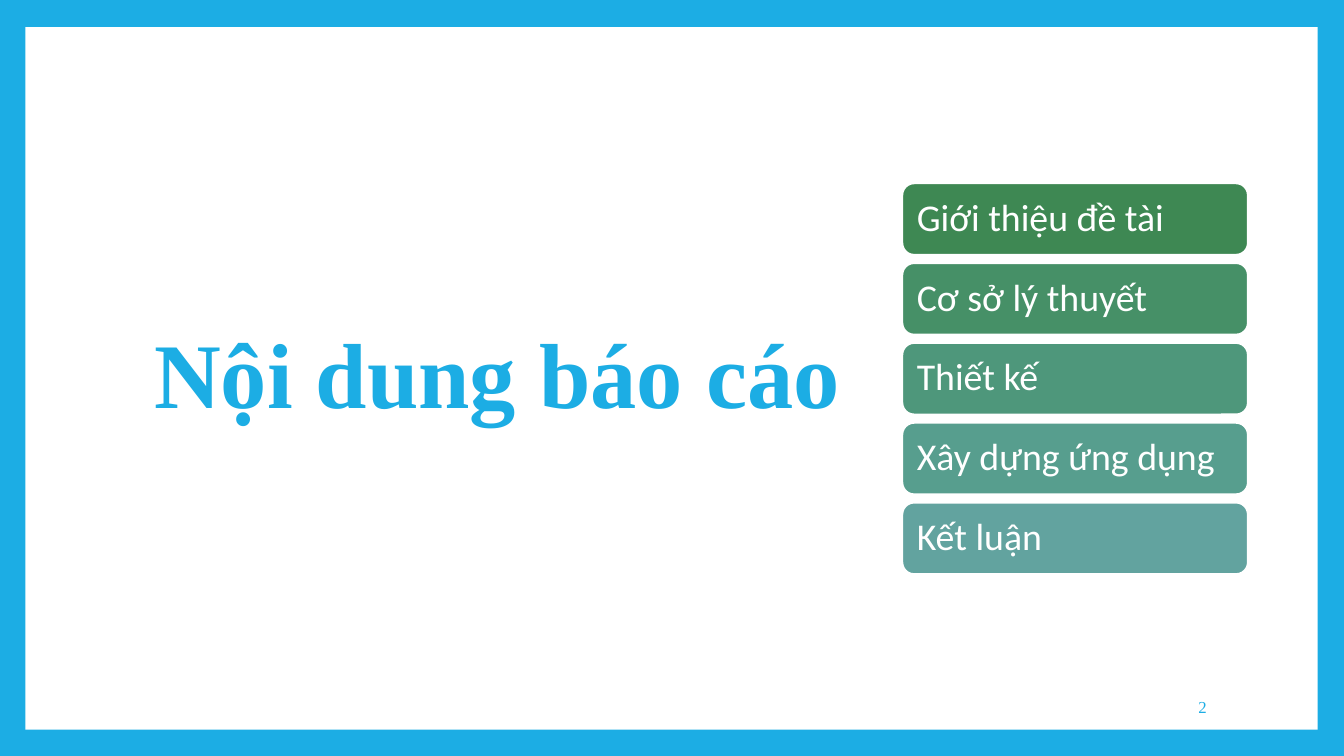
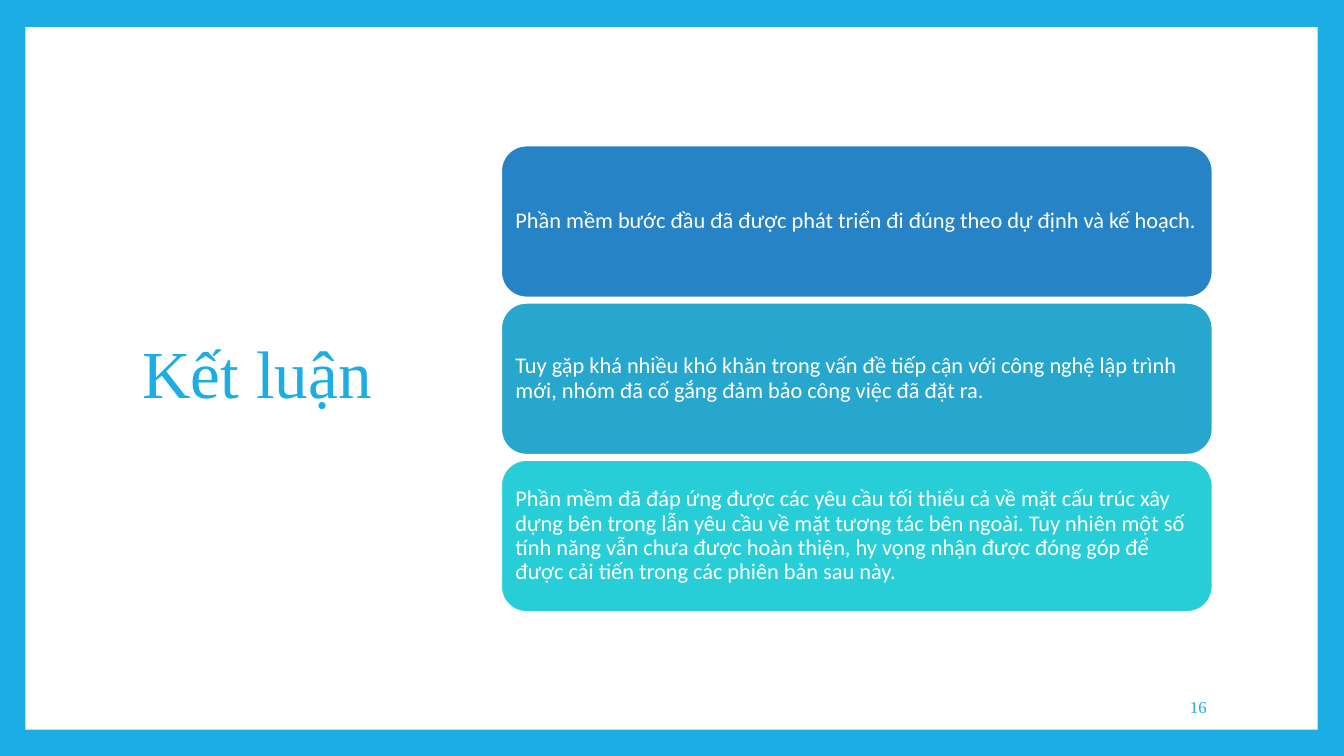
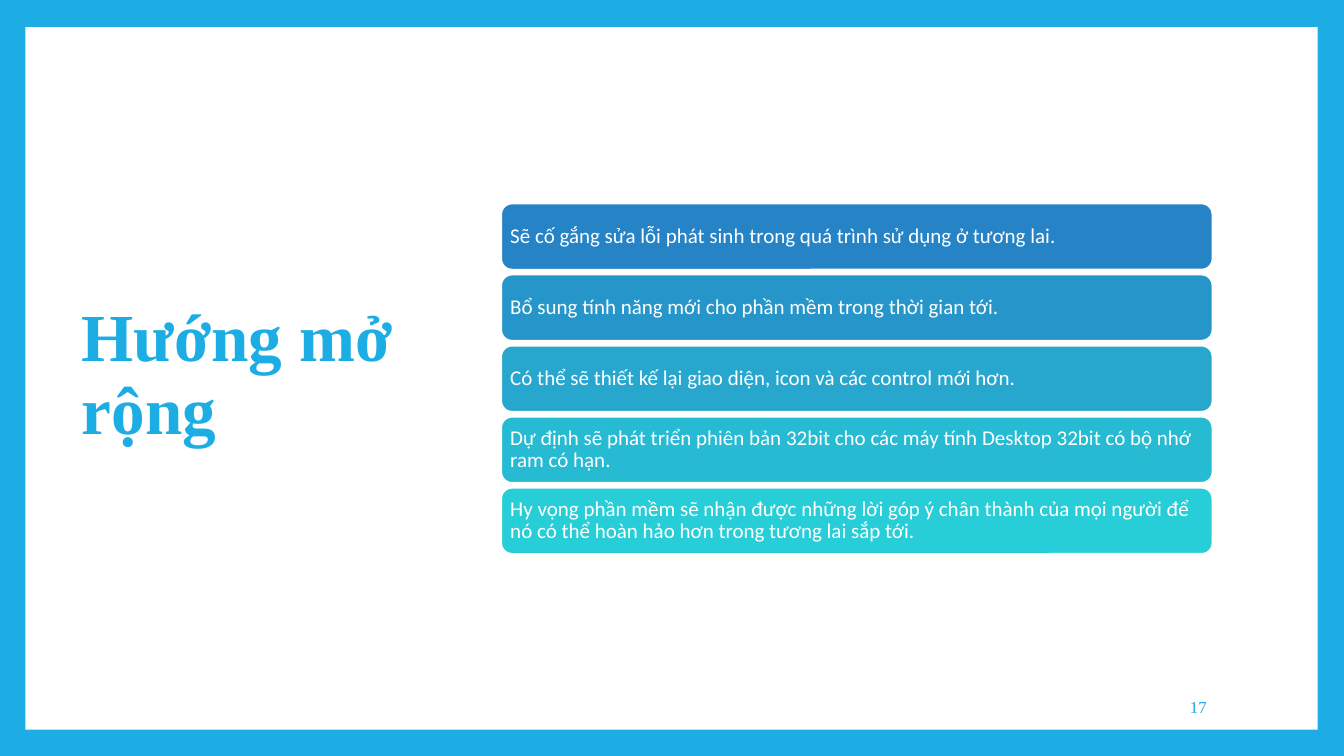
from dataclasses import dataclass

from pptx import Presentation
from pptx.dml.color import RGBColor
from pptx.enum.shapes import MSO_SHAPE
from pptx.enum.text import MSO_ANCHOR, MSO_AUTO_SIZE, PP_ALIGN
from pptx.util import Inches, Pt

RECT, ROUND_RECT = MSO_SHAPE.RECTANGLE, MSO_SHAPE.ROUNDED_RECTANGLE
LEFT, CENTER, RIGHT = PP_ALIGN.LEFT, PP_ALIGN.CENTER, PP_ALIGN.RIGHT
MIDDLE = MSO_ANCHOR.MIDDLE
NO_FIT = MSO_AUTO_SIZE.NONE
TITLE_ONLY = 5


@dataclass(frozen=True)
class Theme:
    accent: str = "1CADE4"
    paper: str = "FFFFFF"
    greens: tuple = ("3E8853", "469067", "4E977B", "579E8E", "62A39F")
    blues: tuple = ("2683C6", "2695CA", "27A7CE", "27BAD3", "27CED7")
    title_font: str = "Times New Roman"
    card_font: str = "Calibri"
    cover_size: int = 66
    title_size: int = 48
    number_size: int = 12
    agenda_size: int = 27
    point_size: int = 16
    plan_size: int = 15
    card_line: float = 1.5


class Deck:
    """Holds the theme and the current slide; lengths are percent of the slide."""

    # Boxes: left, top, width, height
    PANEL = (1.88, 3.6, 96.15, 92.93)
    NUMBER = (76.5, 90.8, 14.03, 5.33)
    SIDE_TITLE = (5.33, 8.93, 27.6, 81.73)
    # Columns of cards: left, width
    SIDE_COLUMN = (37.28, 52.95)
    CARD_CENTER = 50.1

    def __init__(self, theme):
        self.theme = theme
        self.prs = Presentation()
        self.prs.slide_width, self.prs.slide_height = Inches(13.33), Inches(7.5)
        self.fill(self.prs.slide_master.background, theme.accent)
        self.s = None

    def box(self, left, top, width, height):
        w, h = self.prs.slide_width, self.prs.slide_height
        return [round(share * side / 100) for share, side in
                ((left, w), (top, h), (width, w), (height, h))]

    def fill(self, target, color):
        target.fill.solid()
        target.fill.fore_color.rgb = RGBColor.from_string(color)

    def text(self, sp, words, font, size, color, align=LEFT, bold=False, spacing=0.9):
        tf = sp.text_frame
        tf.text = words
        tf.word_wrap = True
        tf.auto_size = NO_FIT
        tf.vertical_anchor = MIDDLE
        p = tf.paragraphs[0]
        p.alignment, p.line_spacing = align, spacing
        f = p.runs[0].font
        f.name, f.size, f.bold = font, Pt(size), bold
        f.color.rgb = RGBColor.from_string(color)

    def shape(self, kind, box, color):
        sp = self.s.shapes.add_shape(kind, *self.box(*box))
        sp.shadow.inherit = False
        self.fill(sp, color)
        return sp

    def slide(self, number):
        """New slide with the white panel behind everything and its number."""
        t = self.theme
        self.s = self.prs.slides.add_slide(self.prs.slide_layouts[TITLE_ONLY])
        panel = self.shape(RECT, self.PANEL, t.paper)
        panel.line.fill.background()
        self.s.shapes.title._element.addprevious(panel._element)
        sp = self.s.shapes.add_textbox(*self.box(*self.NUMBER))
        self.text(sp, str(number), t.title_font, t.number_size, t.accent, RIGHT, spacing=1.0)

    def title(self, words, size, align=LEFT, bold=False, box=SIDE_TITLE):
        sp = self.s.shapes.title
        sp.left, sp.top, sp.width, sp.height = self.box(*box)
        self.text(sp, words, self.theme.title_font, size, self.theme.accent, align, bold)

    def cards(self, texts, colors, size, height, gap, inset, column=SIDE_COLUMN):
        """Equal cards stacked around the centre line."""
        t = self.theme
        left, width = column
        card_height = (height - gap * (len(texts) - 1)) / len(texts)
        for i, (words, color) in enumerate(zip(texts, colors)):
            top = self.CARD_CENTER - height / 2 + i * (card_height + gap)
            sp = self.shape(ROUND_RECT, (left, top, width, card_height), color)
            sp.line.color.rgb = RGBColor.from_string(t.paper)
            sp.line.width = Pt(t.card_line)
            self.text(sp, words, t.card_font, size, t.paper)
            tf = sp.text_frame
            tf.margin_left = tf.margin_right = Inches(inset)
            tf.margin_top = tf.margin_bottom = Inches(inset)


def main():
    theme = Theme()
    deck = Deck(theme)

    # Agenda
    deck.slide(2)
    deck.title("Nội dung báo cáo", theme.cover_size, RIGHT, True, (7.2, 12.8, 56.03, 74.67))
    deck.cards(
        ["Giới thiệu đề tài", "Cơ sở lý thuyết", "Thiết kế", "Xây dựng ứng dụng", "Kết luận"],
        theme.greens, theme.agenda_size, height=51.73, gap=1.07, inset=0.11,
        column=(67.13, 25.73))

    # Conclusion
    deck.slide(16)
    deck.title("Kết luận", theme.title_size, CENTER)
    deck.cards(
        ["Phần mềm bước đầu đã được phát triển đi đúng theo dự định và kế hoạch.",
         "Tuy gặp khá nhiều khó khăn trong vấn đề tiếp cận với công nghệ lập trình mới, "
         "nhóm đã cố gắng đảm bảo công việc đã đặt ra.",
         "Phần mềm đã đáp ứng được các yêu cầu tối thiểu cả về mặt cấu trúc xây dựng bên trong "
         "lẫn yêu cầu về mặt tương tác bên ngoài. Tuy nhiên một số tính năng vẫn chưa được "
         "hoàn thiện, hy vọng nhận được đóng góp để được cải tiến trong các phiên bản sau này."],
        theme.blues[::2], theme.point_size, height=61.73, gap=0.67, inset=0.07)

    # Future work
    deck.slide(17)
    deck.title("Hướng mở rộng", theme.title_size, bold=True)
    deck.cards(
        ["Sẽ cố gắng sửa lỗi phát sinh trong quá trình sử dụng ở tương lai.",
         "Bổ sung tính năng mới cho phần mềm trong thời gian tới.",
         "Có thể sẽ thiết kế lại giao diện, icon và các control mới hơn.",
         "Dự định sẽ phát triển phiên bản 32bit cho các máy tính Desktop 32bit có bộ nhớ "
         "ram có hạn.",
         "Hy vọng phần mềm sẽ nhận được những lời góp ý chân thành của mọi người để nó có thể "
         "hoàn hảo hơn trong tương lai sắp tới."],
        theme.blues, theme.plan_size, height=46.4, gap=0.6, inset=0.06)

    deck.prs.save("out.pptx")


if __name__ == "__main__":
    main()
